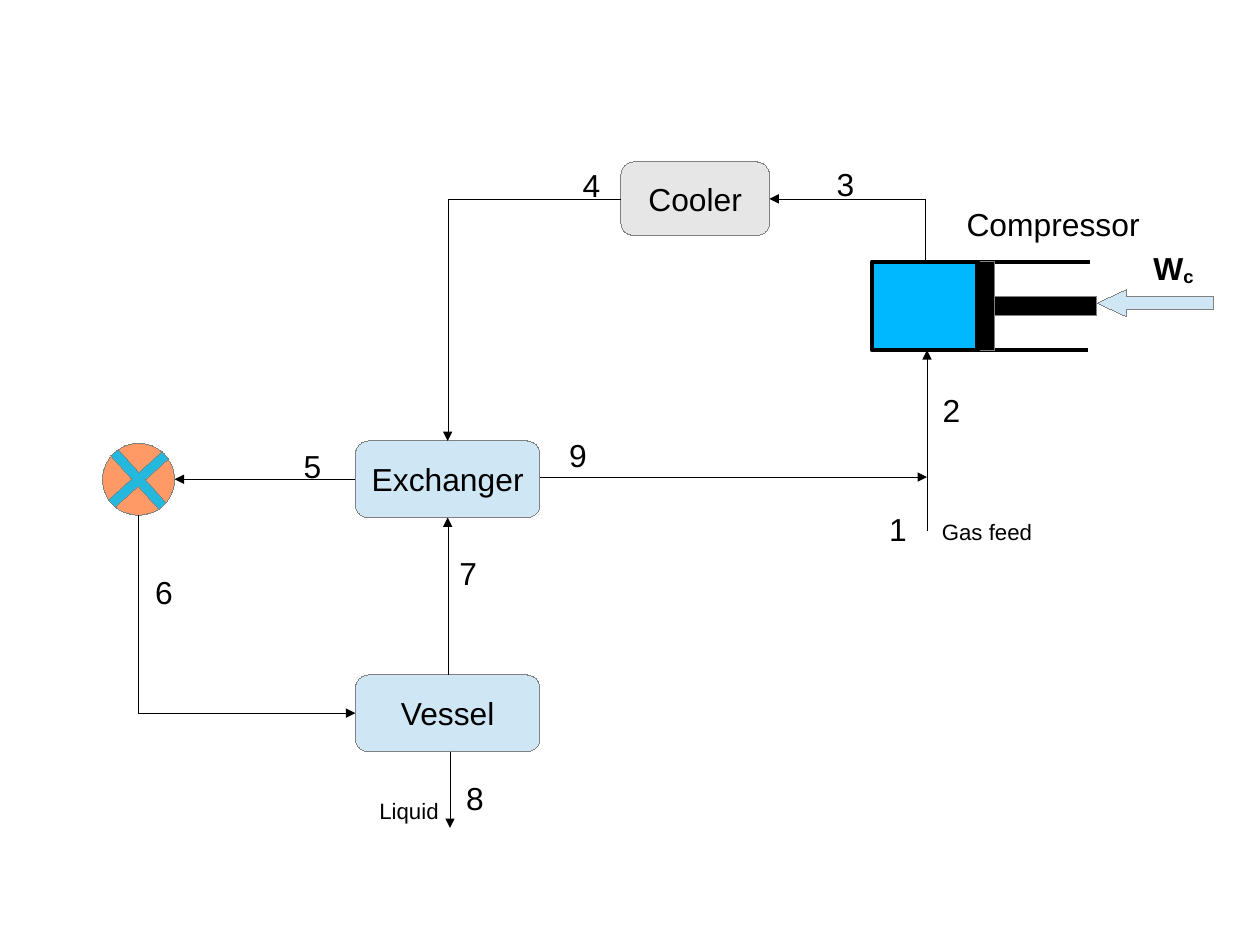
import pptx
import pptx.util
import pptx.dml.color
import pptx.enum.shapes
import pptx.enum.text
import pptx.oxml.ns
import pptx.oxml.xmlchemy
from pptx.util import Cm

RGBColor = pptx.dml.color.RGBColor
SHAPE = pptx.enum.shapes.MSO_SHAPE
LINK = pptx.enum.shapes.MSO_CONNECTOR
ALIGN = pptx.enum.text.PP_ALIGN
ANCHOR = pptx.enum.text.MSO_ANCHOR
qn = pptx.oxml.ns.qn
OxmlElement = pptx.oxml.xmlchemy.OxmlElement

BLACK = RGBColor(0x00, 0x00, 0x00)
GREY = RGBColor(0x80, 0x80, 0x80)
SILVER = RGBColor(0xE6, 0xE6, 0xE6)
PALE_BLUE = RGBColor(0xCF, 0xE7, 0xF5)
GAS_BLUE = RGBColor(0x00, 0xB8, 0xFF)
ORANGE = RGBColor(0xFF, 0x99, 0x66)
TEAL = RGBColor(0x23, 0xB8, 0xDC)

# Boxes in cm: left, top, width, height
COOLER = (13.8, 3.6, 3.3, 1.63)
EXCHANGER = (7.9, 9.8, 4.1, 1.7)
VESSEL = (7.9, 15, 4.1, 1.7)
COMPRESSOR = (19.38, 5.82, 4.85, 1.96)
VALVE = (2.28, 9.85, 1.6, 1.6)


def set_line(sp, color, width):
    """Colour and width of an outline; a width of 0 is a hairline."""
    sp.line.color.rgb = color
    ln = sp.element.spPr.find(qn("a:ln"))
    ln.set("w", str(int(pptx.util.Pt(width))))
    return ln


def add_shape(s, kind, box, fill, line=GREY, width=0, adj=()):
    sp = s.shapes.add_shape(kind, *map(Cm, box))
    sp.shadow.inherit = False
    sp.fill.solid()
    sp.fill.fore_color.rgb = fill
    set_line(sp, line, width)
    for i, value in enumerate(adj):
        sp.adjustments[i] = value
    return sp


def add_line(s, start, end, width=0, bent=False, arrow=None):
    """Line from start to end; arrow is headEnd (at start) or tailEnd (at end)."""
    kind = LINK.ELBOW if bent else LINK.STRAIGHT
    sp = s.shapes.add_connector(kind, *map(Cm, start + end))
    spPr = sp.element.spPr
    if bent:  # one corner: horizontal first, then vertical
        spPr.find(qn("a:prstGeom")).set("prst", "bentConnector2")
    ln = set_line(sp, BLACK, width)
    if arrow:
        tip = OxmlElement("a:" + arrow)
        tip.set("type", "triangle")
        ln.append(tip)
    spPr.append(OxmlElement("a:effectLst"))


def write(tf, text, size=20, bold=False, align=ALIGN.LEFT, wrap=True, sub=""):
    tf.word_wrap = wrap
    p = tf.paragraphs[0]
    p.alignment = align
    for part in filter(None, (text, sub)):
        r = p.add_run()
        r.text = part
        r.font.name = "Arial"
        r.font.size = pptx.util.Pt(size)
        r.font.bold = bold
        r.font.color.rgb = BLACK
    if sub:
        r.font._element.set("baseline", "-8000")


def add_label(s, box, text, **fmt):
    write(s.shapes.add_textbox(*map(Cm, box)).text_frame, text, **fmt)


def add_unit(s, box, text, fill):
    sp = add_shape(s, SHAPE.ROUNDED_RECTANGLE, box, fill, adj=(0.167,))
    sp.text_frame.vertical_anchor = ANCHOR.MIDDLE
    write(sp.text_frame, text, align=ALIGN.CENTER, wrap=False)


def add_compressor(s, box):
    x, y, w, h = box
    chamber, piston = 2.34, 0.38
    # Cylinder walls
    add_line(s, (x, y), (x + w, y), 2.83)
    add_line(s, (x, y + h), (x + w - 0.05, y + h), 2.83)
    # Rod, piston and gas chamber
    rod = x + chamber + piston
    add_shape(s, SHAPE.RECTANGLE, (rod, y + 0.78, 2.26, 0.41), BLACK)
    add_shape(s, SHAPE.RECTANGLE, (x + chamber, y, piston, h), BLACK)
    add_shape(s, SHAPE.RECTANGLE, (x, y, chamber, h), GAS_BLUE, BLACK, 2.83)
    # Work input
    add_shape(s, SHAPE.LEFT_ARROW, (x + 5, y + 0.61, 2.59, 0.61), PALE_BLUE,
              adj=(0.5, 1.083))
    add_label(s, (x + 6, y - 0.41, 1.6, 1.27), "W", bold=True, sub="c")
    add_label(s, (x + 1.85, y - 1.4, 4.37, 1.04), "Compressor")


def add_valve(s, box):
    add_shape(s, SHAPE.OVAL, box, ORANGE)
    add_shape(s, SHAPE.CROSS, box, TEAL, adj=(0.432,)).rotation = 48


def add_streams(s):
    mid_x = EXCHANGER[0] + EXCHANGER[2] / 2
    right = EXCHANGER[0] + EXCHANGER[2]
    bottom = EXCHANGER[1] + EXCHANGER[3]
    cooler_y = COOLER[1] + 0.82
    valve_x, valve_y = VALVE[0] + VALVE[2] / 2, VALVE[1] + VALVE[3] / 2
    vessel_y = VESSEL[1] + VESSEL[3] / 2
    feed_x, recycle_y = 20.6, 10.6

    # Feed, compressor, cooler
    add_line(s, (feed_x, COMPRESSOR[1] + COMPRESSOR[3]), (feed_x, 11.8),
             arrow="headEnd")
    add_line(s, (COOLER[0] + COOLER[2], cooler_y), (20.55, COMPRESSOR[1]),
             bent=True, arrow="headEnd")
    # Cooler, exchanger, valve, vessel
    add_line(s, (COOLER[0], cooler_y), (mid_x, EXCHANGER[1]),
             bent=True, arrow="tailEnd")
    add_line(s, (EXCHANGER[0], valve_y), (VALVE[0] + VALVE[2], valve_y),
             arrow="tailEnd")
    add_line(s, (VESSEL[0], vessel_y), (valve_x, VALVE[1] + VALVE[3]),
             bent=True, arrow="headEnd")
    # Vapour return, liquid product, recycle
    add_line(s, (mid_x, VESSEL[1]), (mid_x, bottom), arrow="tailEnd")
    add_line(s, (10, VESSEL[1] + VESSEL[3]), (10, 18.4), arrow="tailEnd")
    add_line(s, (right, recycle_y), (feed_x, recycle_y), arrow="tailEnd")

    # Stream numbers, 1 to 9
    places = [(19.51, 11.2), (20.7, 8.56), (18.34, 3.53), (12.7, 3.56),
              (6.5, 9.8), (3.2, 12.6), (9.96, 12.17), (10.11, 17.17),
              (12.4, 9.55)]
    for number, place in enumerate(places, 1):
        add_label(s, place + (0.89, 1.04), str(number))
    add_label(s, (8.18, 17.6, 1.83, 0.81), "Liquid", size=14, wrap=False)
    add_label(s, (20.68, 11.4, 2.51, 0.81), "Gas feed", size=14, wrap=False)


def main():
    prs = pptx.Presentation()
    prs.slide_width, prs.slide_height = Cm(28), Cm(21)
    s = prs.slides.add_slide(prs.slide_layouts[6])
    add_unit(s, COOLER, "Cooler", SILVER)
    add_unit(s, EXCHANGER, "Exchanger", PALE_BLUE)
    add_unit(s, VESSEL, "Vessel", PALE_BLUE)
    add_compressor(s, COMPRESSOR)
    add_valve(s, VALVE)
    add_streams(s)
    prs.save("out.pptx")


if __name__ == "__main__":
    main()
